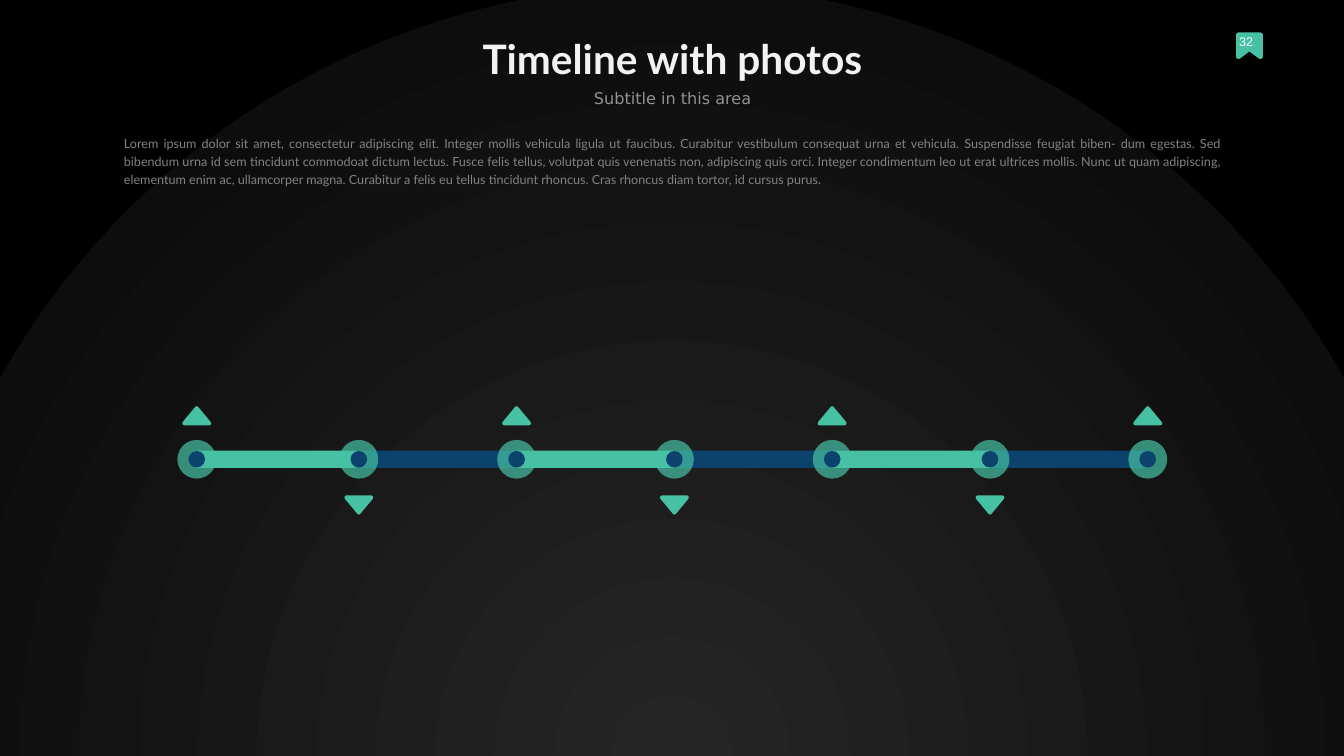
from dataclasses import dataclass

from lxml import etree
from pptx import Presentation
from pptx.dml.color import RGBColor
from pptx.enum.shapes import MSO_SHAPE
from pptx.enum.text import MSO_ANCHOR, MSO_AUTO_SIZE, PP_ALIGN
from pptx.oxml import parse_xml
from pptx.oxml.ns import nsdecls, qn
from pptx.util import Inches, Pt

OVAL, ROUNDED = MSO_SHAPE.OVAL, MSO_SHAPE.ROUNDED_RECTANGLE
LEFT, CENTER, JUSTIFY = PP_ALIGN.LEFT, PP_ALIGN.CENTER, PP_ALIGN.JUSTIFY
TOP, MIDDLE = MSO_ANCHOR.TOP, MSO_ANCHOR.MIDDLE
NO_AUTOFIT = MSO_AUTO_SIZE.NONE

WIDTH, HEIGHT = Inches(26.67), Inches(15)
HUNDREDTH = Inches(0.01)


@dataclass(frozen=True)
class Theme:
    """Colours, fonts and type sizes of the slide."""
    green: str = "46C1A4"
    blue: str = "0C436D"
    white: str = "FFFFFF"
    title: str = "F2F2F2"
    subtitle: str = "929292"
    body: str = "838383"
    backdrop: tuple = ((0, "808080"), (0, "262626"), (100, "0D0D0D"), (100, "000000"))
    main_font: str = "Lato"
    subtitle_font: str = "DejaVu Sans"
    number_font: str = "Arial"
    title_size: int = 58
    subtitle_size: int = 23
    body_size: int = 18


THEME = Theme()
MARKER_COUNT = 7
MARKER_PITCH = 11.74
FIRST_MARKER, SECOND_MARKER = 14.64, 26.7
AXIS = 60.75
BAR_LEAD, BAR_WIDTH, BAR_HEIGHT = 0.6, 12.94, 2.27
DISC_SIZE = (2.89, 5.13)
DOT_SIZE = (1.24, 2.2)
ARROW_HALF_WIDTH, UP_ARROW_TOP, DOWN_ARROW_TOP = 1.07, 53.73, 65.53
ARROW = ((4, 38), (1, 37), (0, 34), (1, 31), (26, 1), (28.5, 0),
         (31, 1), (56, 31), (57, 34), (56, 37), (53, 38))
BOOKMARK = ((8, 52), (5, 53), (1, 52), (0, 49), (0, 4), (1, 2), (5, 0), (48, 0),
            (51, 2), (53, 4), (53, 49), (51, 52), (48, 53), (45, 52), (26.5, 38))

TITLE = "Timeline with photos"
SUBTITLE = "Subtitle in this area"
BODY = (
    "Lorem ipsum dolor sit amet, consectetur adipiscing elit. Integer mollis vehicula "
    "ligula ut faucibus. Curabitur vestibulum consequat urna et vehicula. Suspendisse "
    "feugiat biben- dum egestas. Sed bibendum urna id sem tincidunt commodoat dictum "
    "lectus. Fusce felis tellus, volutpat quis venenatis non, adipiscing quis orci. "
    "Integer condimentum leo ut erat ultrices mollis. Nunc ut quam adipiscing, elementum "
    "enim ac, ullamcorper magna. Curabitur a felis eu tellus tincidunt rhoncus. Cras "
    "rhoncus diam tortor, id cursus purus."
)


def across(share):
    """Turn a percentage of the slide width into a length."""
    return round(WIDTH * share / 100)


def down(share):
    """Turn a percentage of the slide height into a length."""
    return round(HEIGHT * share / 100)


def area(left, top, width, height):
    """Turn slide percentages into a left, top, width and height."""
    return across(left), down(top), across(width), down(height)


def set_all(target, values):
    """Set every attribute named in a dict of format values."""
    for name, value in values.items():
        setattr(target, name, value)


def paint(shape, color, opacity=100):
    """Give a shape a plain fill without outline or shadow."""
    shape.shadow.inherit = False
    shape.line.fill.background()
    shape.fill.solid()
    shape.fill.fore_color.rgb = RGBColor.from_string(color)
    if opacity < 100:
        color_element = shape.element.spPr.find(".//" + qn("a:srgbClr"))
        etree.SubElement(color_element, qn("a:alpha"), val=str(opacity * 1000))


def write(shape, text, font, size, color, align=LEFT, anchor=TOP, inset=0, bold=False, spacing=1.0):
    """Write one formatted paragraph into a shape."""
    frame = shape.text_frame
    margins = dict.fromkeys(
        ("margin_left", "margin_top", "margin_right", "margin_bottom"), Inches(inset))
    set_all(frame, {"text": text, "word_wrap": True, "auto_size": NO_AUTOFIT,
                    "vertical_anchor": anchor, **margins})
    paragraph = frame.paragraphs[0]
    set_all(paragraph, {"alignment": align, "line_spacing": spacing, "space_before": Pt(0)})
    run_font = paragraph.runs[0].font
    set_all(run_font, {"name": font, "size": Pt(size), "bold": bold})
    run_font.color.rgb = RGBColor.from_string(color)


def add_text(slide, box, *content, **style):
    """Add a text box holding one paragraph."""
    write(slide.shapes.add_textbox(*area(*box)), *content, **style)


def add_outline(slide, left, top, points):
    """Add a green closed outline given in hundredths of an inch."""
    builder = slide.shapes.build_freeform(*points[0], scale=HUNDREDTH)
    builder.add_line_segments(points[1:], close=True)
    shape = builder.convert_to_shape(across(left), down(top))
    paint(shape, THEME.green)
    return shape


def add_disc(slide, center, size, color, opacity=100):
    """Add a round disc centred on the timeline axis."""
    width, height = size
    box = area(center - width / 2, AXIS - height / 2, width, height)
    paint(slide.shapes.add_shape(OVAL, *box), color, opacity)


def add_bar(slide, center, color):
    """Add a rounded timeline bar starting at a marker."""
    box = area(center - BAR_LEAD, AXIS - BAR_HEIGHT / 2, BAR_WIDTH, BAR_HEIGHT)
    bar = slide.shapes.add_shape(ROUNDED, *box)
    bar.adjustments[0] = 0.5
    paint(bar, color)


def add_timeline(slide):
    """Add the bars, the markers and the arrows that alternate above and below."""
    centers = [FIRST_MARKER] + [SECOND_MARKER + MARKER_PITCH * step
                                for step in range(MARKER_COUNT - 1)]
    for index in reversed(range(MARKER_COUNT - 1)):
        add_bar(slide, centers[index], THEME.blue if index % 2 else THEME.green)
    for index, center in enumerate(centers):
        add_disc(slide, center, DISC_SIZE, THEME.green, 70)
        add_disc(slide, center, DOT_SIZE, THEME.blue)
        arrow_top = DOWN_ARROW_TOP if index % 2 else UP_ARROW_TOP
        arrow = add_outline(slide, center - ARROW_HALF_WIDTH, arrow_top, ARROW)
        arrow.rotation = 180 * (index % 2)


def set_background(slide):
    """Fill the background with a circular gradient."""
    stops = "".join(f'<a:gs pos="{position * 1000}"><a:srgbClr val="{color}"/></a:gs>'
                    for position, color in THEME.backdrop)
    background = parse_xml(
        f'<p:bg {nsdecls("p", "a")}><p:bgPr><a:gradFill rotWithShape="1">'
        f'<a:gsLst>{stops}</a:gsLst><a:path path="circle">'
        '<a:fillToRect l="50000" t="130000" r="50000" b="-30000"/></a:path>'
        '</a:gradFill><a:effectLst/></p:bgPr></p:bg>')
    slide.element.cSld.insert(0, background)


def add_title(slide):
    """Move, fill and format the title placeholder."""
    title = slide.shapes.title
    left, top, width, height = area(13.54, 4.13, 72.97, 7.13)
    set_all(title, {"left": left, "top": top, "width": width, "height": height})
    write(title, TITLE, THEME.main_font, THEME.title_size, THEME.title,
          align=CENTER, anchor=MIDDLE, inset=0.06, bold=True)


def main():
    """Build the timeline slide and save it."""
    presentation = Presentation()
    set_all(presentation, {"slide_width": WIDTH, "slide_height": HEIGHT})
    slide = presentation.slides.add_slide(presentation.slide_layouts[5])
    set_background(slide)
    add_timeline(slide)
    add_outline(slide, 91.98, 4.27, BOOKMARK)
    add_text(slide, (92.2, 4.47, 1.5, 2.6), "32",
             THEME.number_font, THEME.body_size, THEME.white)
    add_title(slide)
    add_text(slide, (13.57, 11.67, 72.97, 2.6), SUBTITLE,
             THEME.subtitle_font, THEME.subtitle_size, THEME.subtitle, align=CENTER)
    add_text(slide, (9.22, 17.6, 81.66, 6.93), BODY,
             THEME.main_font, THEME.body_size, THEME.body, align=JUSTIFY, spacing=1.2)
    presentation.save("out.pptx")


if __name__ == "__main__":
    main()
